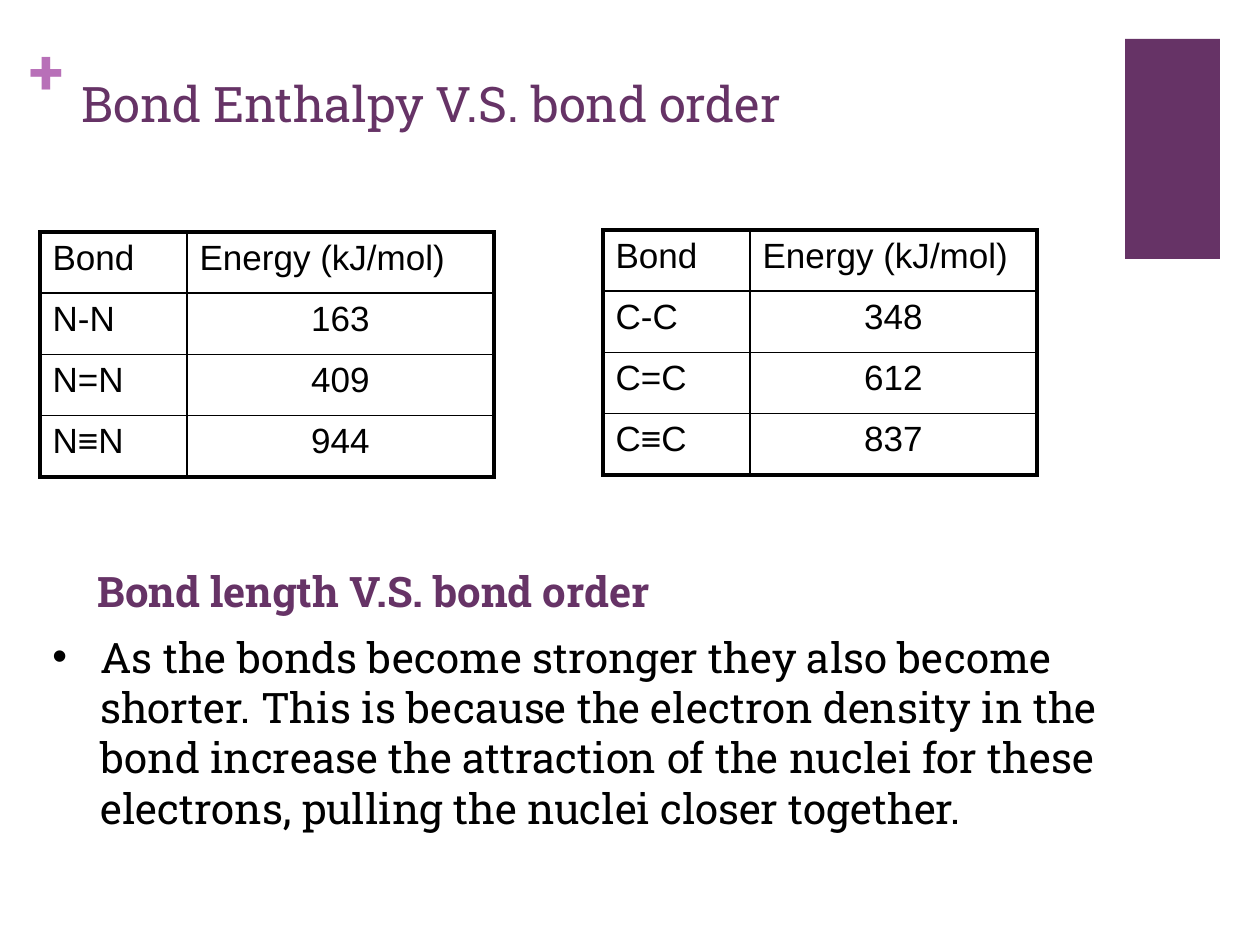
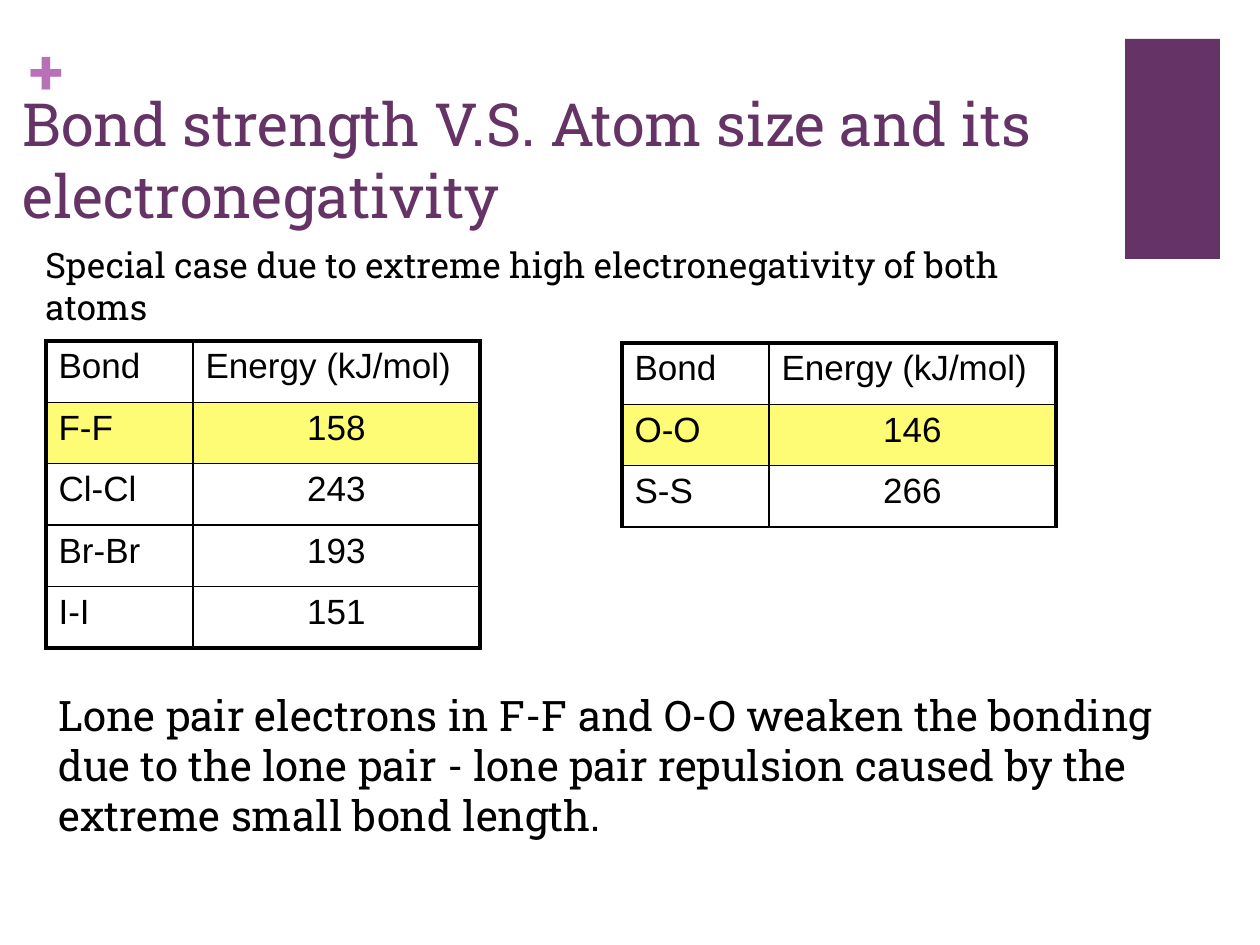
import pptx
import pptx.dml.color
import pptx.enum.shapes
import pptx.enum.text
import pptx.util
from lxml import etree
from pptx.oxml.ns import qn

RGB = pptx.dml.color.RGBColor
PURPLE = RGB(0x66, 0x33, 0x66)
ORCHID = RGB(0xB8, 0x70, 0xB8)
BLACK = RGB(0x00, 0x00, 0x00)
YELLOW = RGB(0xFE, 0xFC, 0x75)

SLAB, SANS = "Roboto Slab", "Arial"
PX_PER_INCH = 126
BULLET_INDENT = 48
BOND_COLUMN = 147
FIVE_ROWS = 307
THICK, THIN = 2.25, 1

HEADER = ("Bond", "Energy (kJ/mol)")
SLIDES = [
    {
        "title": ("Bond Enthalpy V.S. bond order", (69, 67, 1041, 154), 28),
        "tables": [
            {"left": 603, "top": 230, "width": 434, "closed": True, "special": None,
             "bonds": [("C-C", 348), ("C=C", 612), ("C≡C", 837)]},
            {"left": 40, "top": 232, "width": 454, "closed": True, "special": None,
             "bonds": [("N-N", 163), ("N=N", 409), ("N≡N", 944)]},
        ],
        "texts": [
            {"text": "As the bonds become stronger they also become shorter. This is "
                     "because the electron density in the bond increase the attraction of "
                     "the nuclei for these electrons, pulling the nuclei closer together.",
             "box": (40, 625, 1164, 217), "size": 24, "bullet": True},
            {"text": "Bond length V.S. bond order",
             "box": (85, 559, 593, 63), "size": 24, "color": PURPLE, "bold": True},
        ],
    },
    {
        "title": ("Bond strength V.S. Atom size and its electronegativity",
                  (10, 81, 1189, 101), 34),
        "tables": [
            {"left": 46, "top": 341, "width": 434, "closed": True, "special": "F-F",
             "bonds": [("F-F", 158), ("Cl-Cl", 243), ("Br-Br", 193), ("I-I", 151)]},
            {"left": 622, "top": 343, "width": 434, "closed": False, "special": "O-O",
             "bonds": [("O-O", 146), ("S-S", 266)]},
        ],
        "texts": [
            {"text": "Special case due to extreme high electronegativity of both atoms",
             "box": (33, 237, 1073, 55), "size": 20},
            {"text": "Lone pair electrons in F-F and O-O weaken the bonding due to the "
                     "lone pair - lone pair repulsion caused by the extreme small bond "
                     "length.",
             "box": (46, 683, 1143, 165), "size": 24},
        ],
    },
]


def px(length):
    return pptx.util.Emu(round(length * 914400 / PX_PER_INCH))


def style(paragraph, font_name, size, color=BLACK, bold=False):
    for run in paragraph.runs:
        run.font.name = font_name
        run.font.size = pptx.util.Pt(size)
        run.font.color.rgb = color
        run.font.bold = bold


def add_bullet(paragraph):
    properties = paragraph._p.get_or_add_pPr()
    properties.set("marL", str(px(BULLET_INDENT)))
    properties.set("indent", str(-px(BULLET_INDENT)))
    etree.SubElement(properties, qn("a:buFont")).set("typeface", SANS)
    etree.SubElement(properties, qn("a:buChar")).set("char", "•")


def add_text(slide, text, box, size, color=BLACK, bold=False, bullet=False, inset=True):
    frame = slide.shapes.add_textbox(*map(px, box)).text_frame
    frame.word_wrap = True
    frame.vertical_anchor = pptx.enum.text.MSO_ANCHOR.TOP
    if not inset:
        frame.margin_left = frame.margin_top = frame.margin_right = frame.margin_bottom = 0
    frame.text = text
    paragraph = frame.paragraphs[0]
    if bullet:
        add_bullet(paragraph)
    style(paragraph, SLAB, size, color, bold)


def set_borders(cell, **widths):
    """Draw black borders, given as L, R, T and B in points, ahead of the cell's fill."""
    properties = cell._tc.get_or_add_tcPr()
    for place, side in enumerate("LRTB"):
        line = etree.Element(qn(f"a:ln{side}"), w=str(pptx.util.Pt(widths[side])))
        solid = etree.SubElement(line, qn("a:solidFill"))
        etree.SubElement(solid, qn("a:srgbClr")).set("val", str(BLACK))
        properties.insert(place, line)


def add_bond_table(slide, left, top, width, closed, special, bonds):
    """Add a framed table; closed tells whether the bottom edge is thick too."""
    rows = [HEADER, *bonds]
    last = len(rows) - 1
    height = FIVE_ROWS * len(rows) // 5
    table = slide.shapes.add_table(
        len(rows), 2, px(left), px(top), px(width), px(height)).table
    table.first_row = table.horz_banding = False
    table.columns[0].width = px(BOND_COLUMN)
    table.columns[1].width = px(width - BOND_COLUMN)
    for r, row in enumerate(rows):
        for c, value in enumerate(row):
            cell = table.cell(r, c)
            cell.text_frame.text = str(value)
            paragraph = cell.text_frame.paragraphs[0]
            if r and c:
                paragraph.alignment = pptx.enum.text.PP_ALIGN.CENTER
            style(paragraph, SANS, 20)
            if row[0] == special:
                cell.fill.solid()
                cell.fill.fore_color.rgb = YELLOW
            else:
                cell.fill.background()
            set_borders(cell,
                        L=THIN if c else THICK,
                        R=THICK if c else THIN,
                        T=THIN if r else THICK,
                        B=THICK if r == last and closed else THIN)


def add_decor(slide):
    band = slide.shapes.add_shape(
        pptx.enum.shapes.MSO_SHAPE.RECTANGLE, px(1125), px(39), px(95), px(220))
    band.shadow.inherit = False
    band.fill.solid()
    band.fill.fore_color.rgb = PURPLE
    band.line.fill.background()
    add_text(slide, "+", (30, 32, 37, 77), 36, ORCHID, bold=True, inset=False)


def main():
    deck = pptx.Presentation()
    deck.slide_width, deck.slide_height = px(1260), px(945)
    for content in SLIDES:
        slide = deck.slides.add_slide(deck.slide_layouts[6])
        add_decor(slide)
        title, box, size = content["title"]
        add_text(slide, title, box, size, PURPLE)
        for bond_table in content["tables"]:
            add_bond_table(slide, **bond_table)
        for text in content["texts"]:
            add_text(slide, **text)
    deck.save("out.pptx")


if __name__ == "__main__":
    main()
